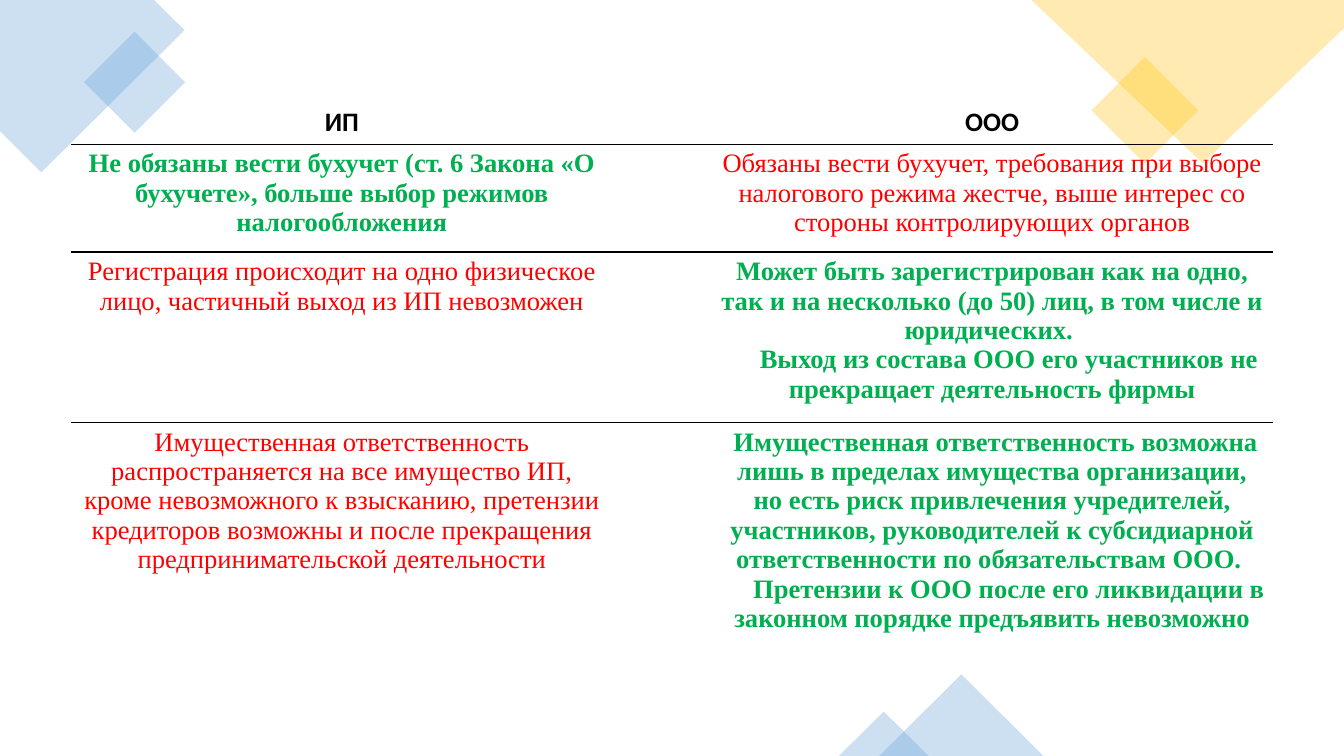
from lxml import etree
from pptx import Presentation
from pptx.dml.color import RGBColor
from pptx.enum.shapes import MSO_SHAPE
from pptx.enum.text import MSO_ANCHOR, PP_ALIGN
from pptx.oxml.ns import qn
from pptx.util import Inches, Pt

RECTANGLE = MSO_SHAPE.RECTANGLE
TRIANGLE = MSO_SHAPE.ISOSCELES_TRIANGLE
CENTER = PP_ALIGN.CENTER
MIDDLE = MSO_ANCHOR.MIDDLE
TOP = MSO_ANCHOR.TOP

COLORS = {"blue": "5B9BD5", "gold": "FFC000", "ink": "000000",
          "plus": "00B050", "minus": "FF0000"}
PLAIN_TABLE_STYLE = "{2D5ABB26-0587-4C30-8999-92F81FD0307C}"

FORMATS = {
    "head": {"name": "Calibri", "bold": True},
    "plus": {"name": "Times New Roman", "bold": True},
    "minus": {"name": "Times New Roman", "bold": False},
}
FORMAT_COLORS = {"head": "ink", "plus": "plus", "minus": "minus"}

CORNERS = [
    ("blue", [(1.53, 0), (0, 0), (0, 1.3), (0.41, 1.71), (1.83, 0.3)]),
    ("gold", [(13.33, 0), (10.23, 0), (11.93, 1.62), (13.33, 0.28)]),
]
ORNAMENTS = [
    (RECTANGLE, "blue", (0.98, 0.46, 0.71, 0.71), 315),
    (RECTANGLE, "gold", (10.98, 0.72, 0.75, 0.75), 315),
    (TRIANGLE, "blue", (8.72, 6.69, 1.63, 0.81), 0),
    (TRIANGLE, "blue", (8.32, 7.06, 0.89, 0.44), 0),
]

COLUMN_WIDTHS = [5.38, 0.97, 5.58]
ROW_HEIGHTS = [0.44, 1.07, 1.69, 2.32]
# Each row: (format, paragraphs) for the ИП column and for the ООО column.
ROWS = [
    (("head", ["ИП"]), ("head", ["ООО"])),
    (("plus", ["Не обязаны вести бухучет (ст. 6 Закона «О бухучете», "
               "больше выбор режимов налогообложения"]),
     ("minus", ["Обязаны вести бухучет, требования при выборе налогового "
                "режима жестче, выше интерес со стороны контролирующих "
                "органов"])),
    (("minus", ["Регистрация происходит на одно физическое лицо, "
                "частичный выход из ИП невозможен"]),
     ("plus", ["Может быть зарегистрирован как на одно, так и на несколько "
               "(до 50) лиц, в том числе и юридических. ",
               "Выход из состава ООО его участников не прекращает "
               "деятельность фирмы"])),
    (("minus", ["Имущественная ответственность распространяется на все "
                "имущество ИП, кроме невозможного к взысканию, претензии "
                "кредиторов возможны и после прекращения "
                "предпринимательской деятельности"]),
     ("plus", [" Имущественная ответственность возможна лишь в пределах "
               "имущества организации, но есть риск привлечения "
               "учредителей, участников, руководителей к субсидиарной "
               "ответственности по обязательствам ООО. ",
               "Претензии к ООО после его ликвидации в законном порядке "
               "предъявить невозможно"])),
]


def style_ornament(shape, color):
    """Give a shape a 30 % opaque fill without line or shadow."""
    shape.shadow.inherit = False
    shape.line.fill.background()
    shape.fill.solid()
    shape.fill.fore_color.rgb = RGBColor.from_string(COLORS[color])
    fill_color = shape._element.spPr.find(qn("a:solidFill"))[0]
    etree.SubElement(fill_color, qn("a:alpha"), val="30000")


def add_corner(slide, color, points):
    vertices = [(Inches(x), Inches(y)) for x, y in points]
    builder = slide.shapes.build_freeform(*vertices[0])
    builder.add_line_segments(vertices[1:], close=True)
    style_ornament(builder.convert_to_shape(), color)


def add_ornament(slide, kind, color, box, rotation):
    shape = slide.shapes.add_shape(kind, *map(Inches, box))
    shape.rotation = rotation
    style_ornament(shape, color)


def add_border(cell, side, position):
    """Insert a 1 pt border; borders must precede the cell's fill."""
    line = etree.Element(qn(f"a:{side}"), w=str(Pt(1)))
    fill = etree.SubElement(line, qn("a:solidFill"))
    etree.SubElement(fill, qn("a:srgbClr"), val=COLORS["ink"])
    cell._tc.get_or_add_tcPr().insert(position, line)


def fill_cell(cell, format_name, paragraphs):
    cell.vertical_anchor = MIDDLE if format_name == "head" else TOP
    cell.margin_left = cell.margin_right = Inches(0.09)
    cell.text_frame.text = "\n".join(paragraphs)
    for index, paragraph in enumerate(cell.text_frame.paragraphs):
        paragraph.alignment = CENTER
        if index:
            paragraph._p.get_or_add_pPr().set("indent", str(Inches(0.33)))
        font = paragraph.runs[0].font
        font.size = Pt(19)
        font.color.rgb = RGBColor.from_string(
            COLORS[FORMAT_COLORS[format_name]])
        for attribute, value in FORMATS[format_name].items():
            setattr(font, attribute, value)


def add_comparison_table(slide):
    frame = slide.shapes.add_table(
        len(ROW_HEIGHTS), len(COLUMN_WIDTHS), Inches(0.7), Inches(0.99),
        Inches(sum(COLUMN_WIDTHS)), Inches(sum(ROW_HEIGHTS)))
    table = frame.table
    table.first_row = table.horz_banding = False
    table._tbl.tblPr.find(qn("a:tableStyleId")).text = PLAIN_TABLE_STYLE
    for column, width in zip(table.columns, COLUMN_WIDTHS):
        column.width = Inches(width)
    last = len(ROWS) - 1
    for index, (row, height) in enumerate(zip(table.rows, ROW_HEIGHTS)):
        row.height = Inches(height)
        for cell in row.cells:
            cell.fill.background()
            if index < last:
                add_border(cell, "lnB", 0)
            if index > 0:
                add_border(cell, "lnT", 0)
        for column, content in zip((0, 2), ROWS[index]):
            fill_cell(table.cell(index, column), *content)


def main():
    presentation = Presentation()
    presentation.slide_width = Inches(13.33)
    presentation.slide_height = Inches(7.5)
    slide = presentation.slides.add_slide(presentation.slide_layouts[6])
    for corner in CORNERS:
        add_corner(slide, *corner)
    for ornament in ORNAMENTS:
        add_ornament(slide, *ornament)
    add_comparison_table(slide)
    presentation.save("out.pptx")


if __name__ == "__main__":
    main()
